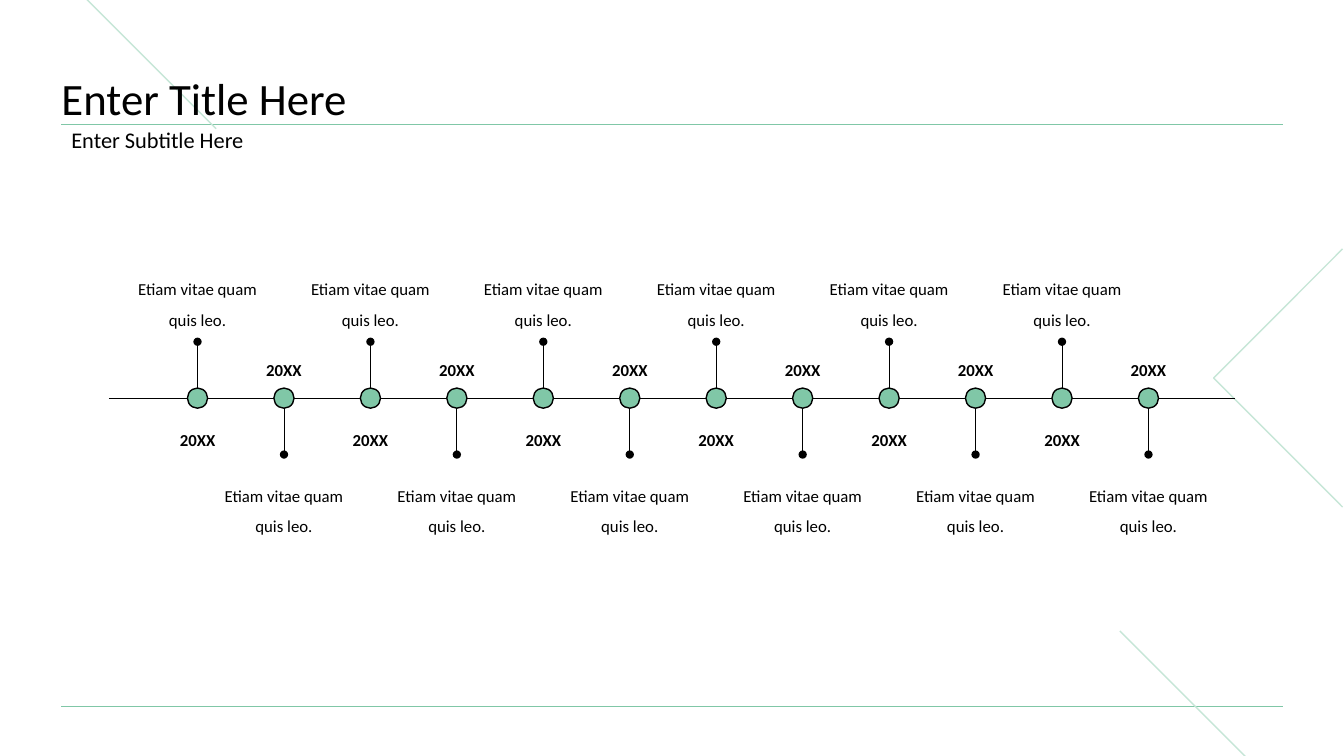
"""Build a twelve-step timeline slide."""
from lxml import etree
from pptx import Presentation
from pptx.dml.color import RGBColor
from pptx.enum import shapes, text
from pptx.oxml import ns
from pptx.util import Pt

COLORS = {"ink": "000000", "green": "80C7A7", "pale": "C6E6D7", "paper": "FFFFFF"}
FONT = "Calibri"
STEPS = 12
FIRST_X, STEP_X, AXIS_Y = 141.1, 61.75, 284.4
RADIUS, STEM = 7.2, 33.1
MARGIN, CONTENT_WIDTH = 43.9, 872.6


def color(name):
    """Return the named colour."""
    return RGBColor.from_string(COLORS[name])


def add_line(page, start, end, line_color, width, oval_end=False):
    """Draw a straight line, with a round end if asked."""
    line = page.shapes.add_connector(
        shapes.MSO_CONNECTOR.STRAIGHT, *[Pt(value) for value in (*start, *end)])
    line.line.color.rgb = color(line_color)
    line.line.width = Pt(width)
    properties = line.element.spPr
    if oval_end:
        outline = properties.find(ns.qn("a:ln"))
        etree.SubElement(outline, ns.qn("a:tailEnd"), type="oval")
    etree.SubElement(properties, ns.qn("a:effectLst"))


def add_text(page, place, words, size, spacing, bold=False, centered=False,
             anchor=text.MSO_ANCHOR.TOP, grow=True, before=0, inset=None):
    """Add a text box holding one paragraph."""
    box = page.shapes.add_textbox(*[Pt(value) for value in place])
    frame = box.text_frame
    frame.text = words
    frame.word_wrap = True
    frame.vertical_anchor = anchor
    frame.auto_size = (text.MSO_AUTO_SIZE.SHAPE_TO_FIT_TEXT if grow
                       else text.MSO_AUTO_SIZE.NONE)
    if inset is not None:
        frame.margin_left = frame.margin_right = Pt(inset)
        frame.margin_top = frame.margin_bottom = Pt(inset)
    para = frame.paragraphs[0]
    para.alignment = text.PP_ALIGN.CENTER if centered else text.PP_ALIGN.LEFT
    para.line_spacing = spacing
    para.space_before = Pt(before)
    font = para.runs[0].font
    font.name, font.size, font.bold = FONT, Pt(size), bold
    font.color.rgb = color("ink")


def add_chevron(page):
    """Draw the open chevron at the right edge."""
    builder = page.shapes.build_freeform(Pt(959), Pt(177.8))
    builder.add_line_segments([(Pt(866.9), Pt(270)), (Pt(959), Pt(362.2))], close=False)
    chevron = builder.convert_to_shape()
    chevron.shadow.inherit = False
    chevron.fill.background()
    chevron.line.color.rgb = color("pale")
    chevron.line.width = Pt(1)


def add_decoration(page):
    """Draw the rules and the diagonal accents."""
    for y in (504.7, 88.6):
        add_line(page, (MARGIN, y), (MARGIN + CONTENT_WIDTH, y), "green", 0.5)
    for x, y in ((799.9, 450.7), (20, -42.5)):
        add_line(page, (x, y), (x + 134.4, y + 134.4), "pale", 1)
    add_chevron(page)


def add_headings(page):
    """Add the title and the subtitle."""
    add_text(page, (MARGIN, 31.7, CONTENT_WIDTH, 57.6), "Enter Title Here", 32, 0.9,
             anchor=text.MSO_ANCHOR.BOTTOM, grow=False, inset=0)
    add_text(page, (MARGIN, 88.6, CONTENT_WIDTH, 24.5), "Enter Subtitle Here", 16, 0.9,
             anchor=text.MSO_ANCHOR.MIDDLE, before=10)


def add_milestone(page, x, above):
    """Add a dot with its stem, description and year."""
    dot = page.shapes.add_shape(
        shapes.MSO_SHAPE.OVAL, Pt(x - RADIUS), Pt(AXIS_Y - RADIUS),
        Pt(2 * RADIUS), Pt(2 * RADIUS))
    dot.shadow.inherit = False
    dot.fill.solid()
    dot.fill.fore_color.rgb = color("green")
    dot.line.color.rgb = color("ink")
    dot.line.width = Pt(1)
    side = -1 if above else 1
    stem_start = AXIS_Y + side * RADIUS
    add_line(page, (x, stem_start), (x, stem_start + side * STEM), "ink", 0.5, oval_end=True)
    note_top, year_top = (188.6, 295.9) if above else (336.3, 246.2)
    add_text(page, (x - 50, note_top, 100, 49), "Etiam vitae quam quis leo.", 12, 1.5,
             centered=True)
    add_text(page, (x - 25, year_top, 50, 26.6), "20XX", 12, 1.5, bold=True, centered=True)


def main():
    """Build and save the deck."""
    deck = Presentation()
    deck.slide_width, deck.slide_height = Pt(960), Pt(540)
    page = deck.slides.add_slide(deck.slide_layouts[6])
    page.background.fill.solid()
    page.background.fill.fore_color.rgb = color("paper")
    add_decoration(page)
    add_headings(page)
    add_line(page, (77.8, AXIS_Y), (882, AXIS_Y), "ink", 0.5)
    for step in range(STEPS):
        add_milestone(page, FIRST_X + step * STEP_X, above=step % 2 == 0)
    deck.save("out.pptx")


if __name__ == "__main__":
    main()
